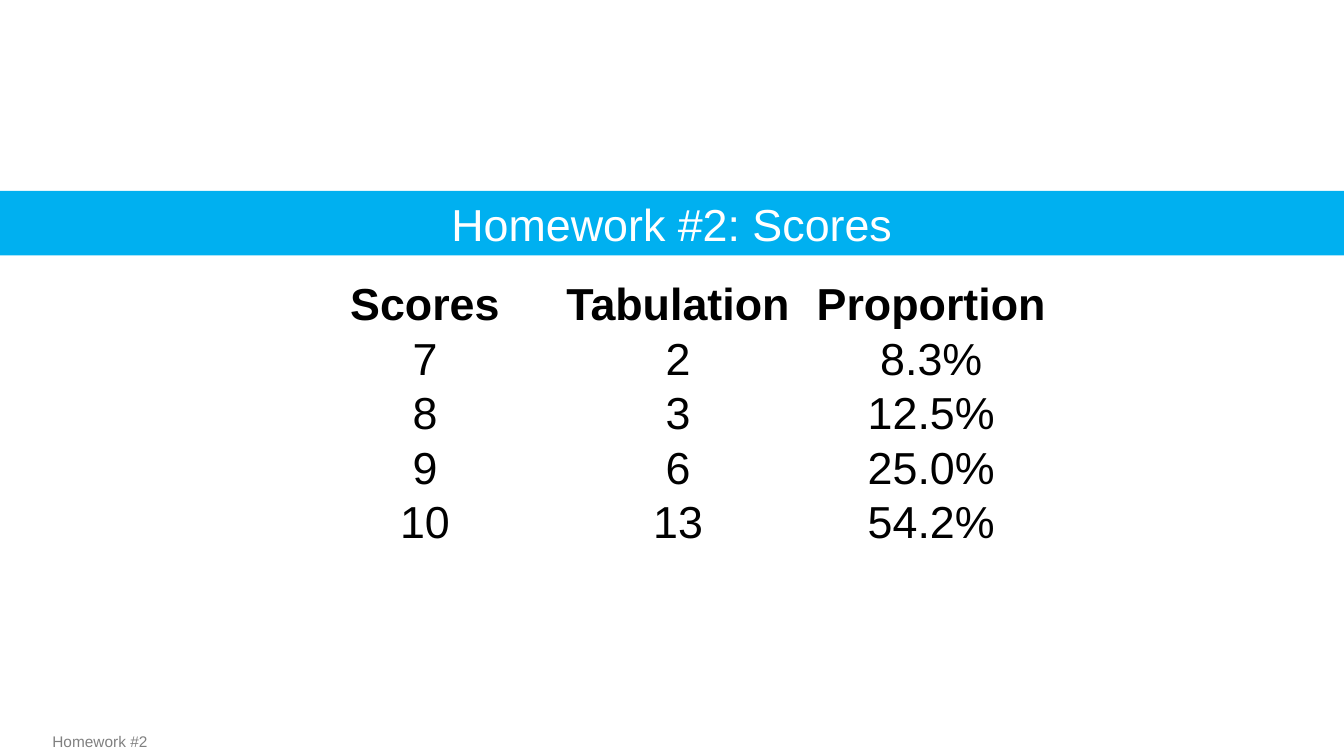
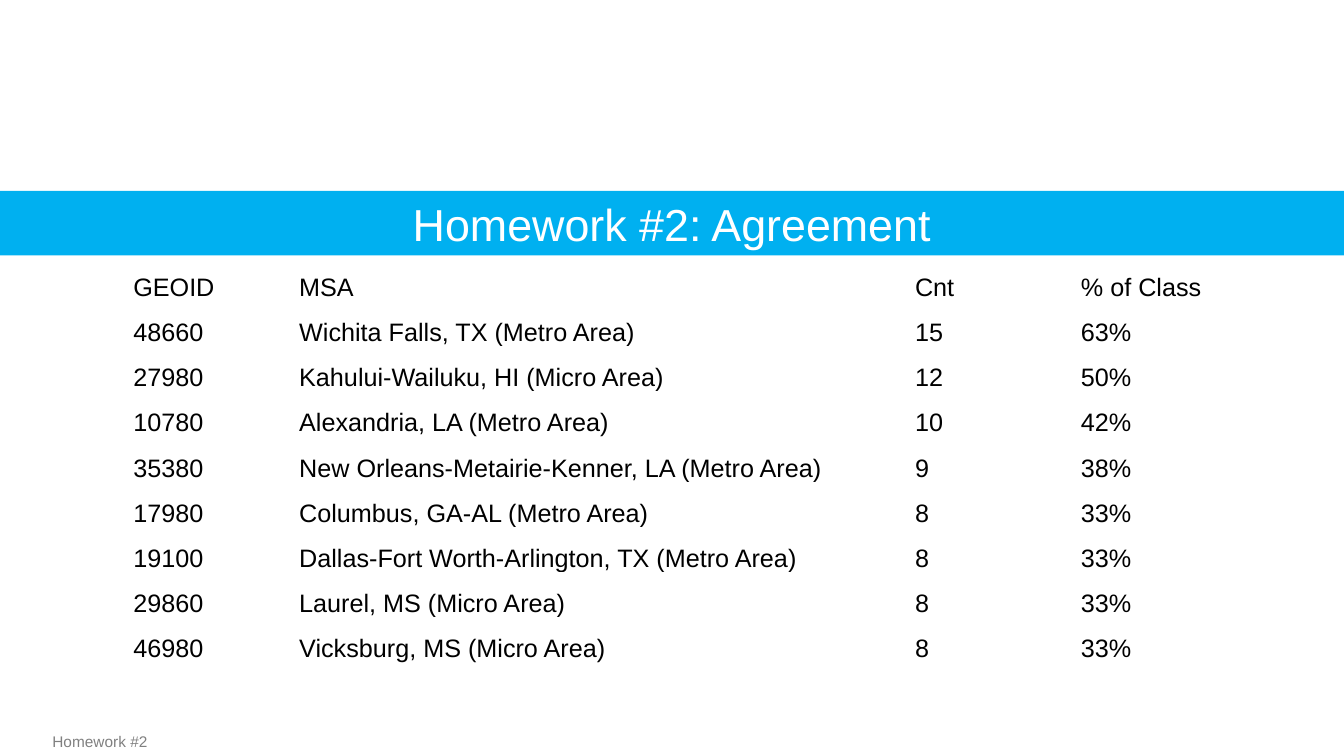
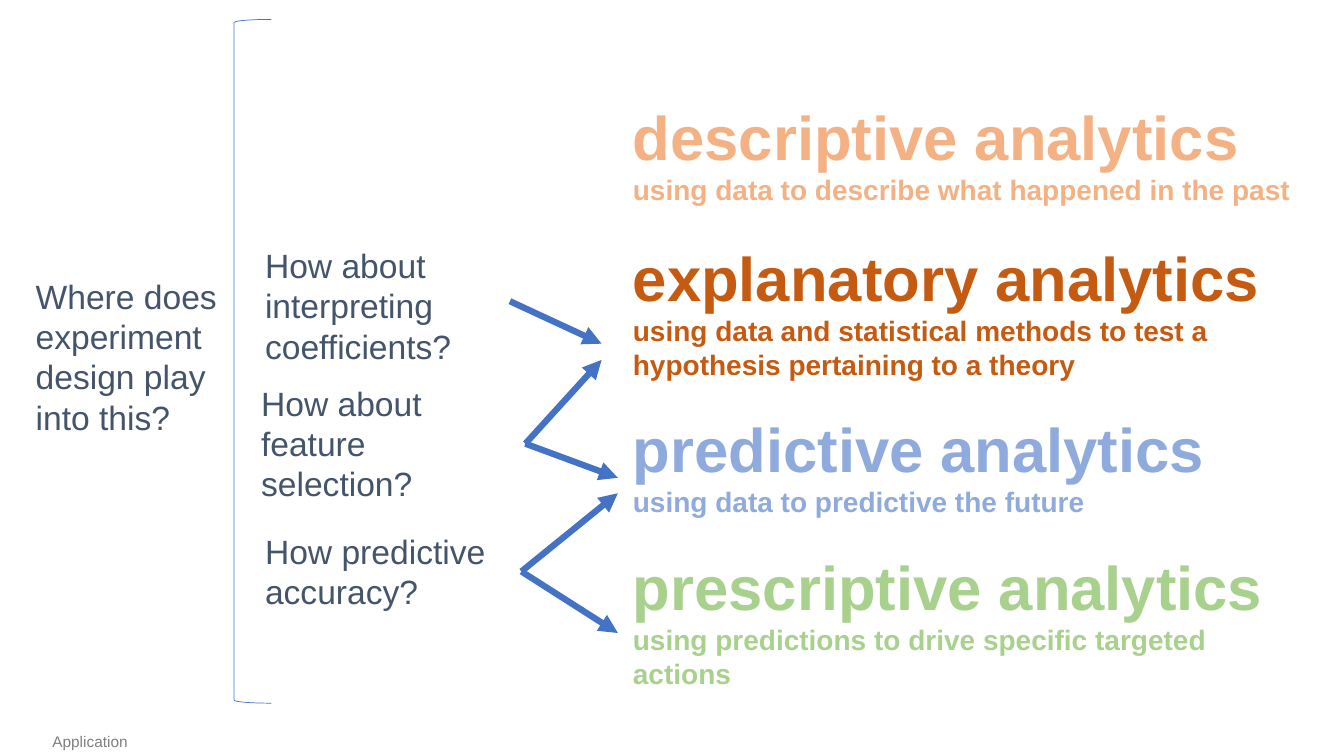
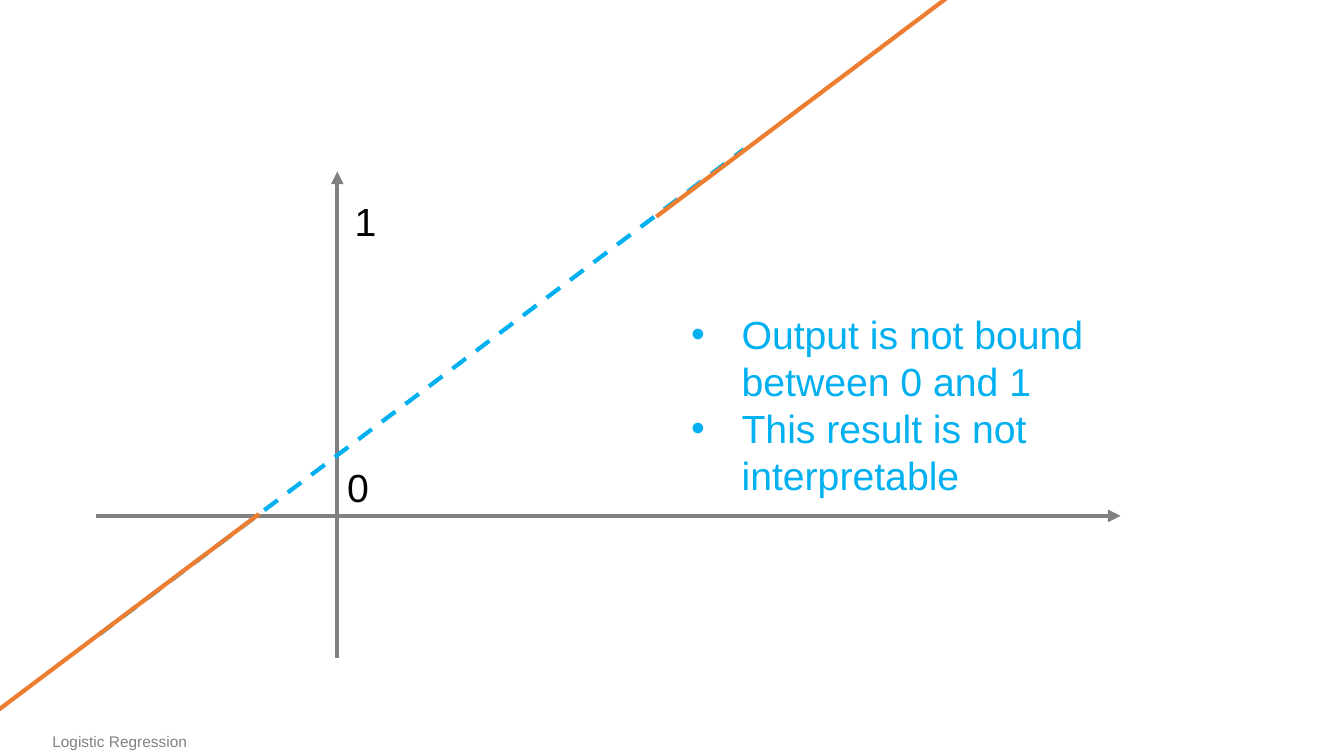
from pptx import Presentation
from pptx.dml.color import RGBColor
from pptx.enum.dml import MSO_LINE
from pptx.enum.shapes import MSO_CONNECTOR, MSO_SHAPE
from pptx.enum.text import MSO_ANCHOR, PP_ALIGN
from pptx.oxml.ns import qn
from pptx.util import Cm, Pt
from lxml import etree

CENTER, LEFT = PP_ALIGN.CENTER, PP_ALIGN.LEFT
TOP, MIDDLE, BOTTOM = MSO_ANCHOR.TOP, MSO_ANCHOR.MIDDLE, MSO_ANCHOR.BOTTOM
STRAIGHT, DASH = MSO_CONNECTOR.STRAIGHT, MSO_LINE.DASH
RECTANGLE, BRACKET = MSO_SHAPE.RECTANGLE, MSO_SHAPE.LEFT_BRACKET

FONT = "Arial"
COLORS = {
    "white": "FFFFFF", "black": "000000", "gray": "808080", "slate": "44546A",
    "sky": "00B0F0", "blue": "4472C4", "orange": "ED7D31", "peach": "F4B183",
    "rust": "C55A11", "periwinkle": "8FAADC", "green": "A9D18E",
}
SLIDE_WIDTH, SLIDE_HEIGHT = 33.87, 19.05

# Lengths below are centimetres, text sizes are points.
SCORES = [
    ("Scores", "Tabulation", "Proportion"),
    ("7", "2", "8.3%"),
    ("8", "3", "12.5%"),
    ("9", "6", "25.0%"),
    ("10", "13", "54.2%"),
]
AGREEMENT = [
    ("GEOID", "MSA", "Cnt", "% of Class"),
    ("48660", "Wichita Falls, TX (Metro Area)", "15", "63%"),
    ("27980", "Kahului-Wailuku, HI (Micro Area)", "12", "50%"),
    ("10780", "Alexandria, LA (Metro Area)", "10", "42%"),
    ("35380", "New Orleans-Metairie-Kenner, LA (Metro Area)", "9", "38%"),
    ("17980", "Columbus, GA-AL (Metro Area)", "8", "33%"),
    ("19100", "Dallas-Fort Worth-Arlington, TX (Metro Area)", "8", "33%"),
    ("29860", "Laurel, MS (Micro Area)", "8", "33%"),
    ("46980", "Vicksburg, MS (Micro Area)", "8", "33%"),
]
# Heading, explanation, colour, space before the heading
ANALYTICS = [
    ("descriptive analytics", "using data to describe what happened in the past", "peach", 0),
    ("explanatory analytics",
     "using data and statistical methods to test a hypothesis pertaining to a theory", "rust", 24),
    ("predictive analytics", "using data to predictive the future", "periwinkle", 21.5),
    ("prescriptive analytics", "using predictions to drive specific targeted actions", "green", 21.5),
]
QUESTIONS = [
    ("How about interpreting coefficients?", (6.43, 6.05, 5.89, 3.33)),
    ("Where does experiment design play into this?", (0.65, 6.82, 5.44, 4.37)),
    ("How about feature selection?", (6.33, 9.52, 6.91, 3.33)),
    ("How predictive accuracy?", (6.43, 13.25, 6.71, 2.31)),
]
# Start of the arrows of one question, then their ends
QUESTION_ARROWS = [
    ((12.85, 7.59), [(15.16, 8.66)]),
    ((13.24, 11.18), [(15.16, 9.07), (15.57, 12.04)]),
    ((13.14, 14.4), [(15.57, 12.43), (15.57, 15.95)]),
]
AXES = [((8.5, 16.57), (8.5, 4.32)), ((2.41, 13), (28.24, 13))]
AXIS_LABELS = [("1", (8.69, 4.86, 2.84, 1.45)), ("0", (8.5, 11.56, 2.84, 1.45))]
FITTED_LINE = ((2.51, 15.98), (18.75, 3.76))
OUT_OF_BOUNDS = [((-9.7, 25.15), (6.53, 12.95)), ((16.54, 5.46), (32.77, -6.76))]
REMARKS = ["Output is not bound between 0 and 1", "This result is not interpretable"]


def rgb(color):
    return RGBColor.from_string(COLORS[color])


def style(paragraph, size, color, bold=False, align=LEFT):
    paragraph.alignment = align
    for span in paragraph.runs:
        span.font.name, span.font.size = FONT, Pt(size)
        span.font.bold = bold
        span.font.color.rgb = rgb(color)


def add_text(page, place, lines, size, color):
    box = page.shapes.add_textbox(*map(Cm, place))
    frame = box.text_frame
    frame.word_wrap = True
    frame.vertical_anchor = TOP
    frame.text = "\n".join(lines)
    for para in frame.paragraphs:
        style(para, size, color)
    return frame


def add_line(page, start, end, color, width, arrow=False, dash=None):
    line = page.shapes.add_connector(STRAIGHT, *map(Cm, start + end))
    line.line.color.rgb = rgb(color)
    line.line.width = Pt(width)
    if dash:
        line.line.dash_style = dash
    properties = line._element.spPr
    if arrow:
        etree.SubElement(properties.find(qn("a:ln")), qn("a:tailEnd"), type="triangle")
    etree.SubElement(properties, qn("a:effectLst"))


def add_page(deck, footer):
    page = deck.slides.add_slide(deck.slide_layouts[6])
    add_text(page, (1.07, 18.32, 5.77, 0.74), [footer], 11, "gray")
    return page


def add_band(page, title):
    band = page.shapes.add_shape(RECTANGLE, 0, Cm(4.81), Cm(SLIDE_WIDTH), Cm(1.63))
    band.shadow.inherit = False
    band.fill.solid()
    band.fill.fore_color.rgb = rgb("sky")
    band.line.fill.background()
    band.text_frame.text = title
    band.text_frame.vertical_anchor = MIDDLE
    style(band.text_frame.paragraphs[0], 32, "white", align=CENTER)


def add_borders(cell):
    """Put a white one-point line on all four sides, ahead of the cell's fill."""
    properties = cell._tc.get_or_add_tcPr()
    for position, side in enumerate(("lnL", "lnR", "lnT", "lnB")):
        border = etree.Element(qn("a:" + side), w=str(Pt(1)))
        fill = etree.SubElement(border, qn("a:solidFill"))
        etree.SubElement(fill, qn("a:srgbClr"), val=COLORS["white"])
        properties.insert(position, border)


def add_grid(page, rows, left, top, widths, row_height, size, align, bold_header=False):
    table = page.shapes.add_table(
        len(rows), len(widths), Cm(left), Cm(top),
        Cm(sum(widths)), Cm(row_height * len(rows))).table
    table.first_row = table.horz_banding = False
    for column, width in zip(table.columns, widths):
        column.width = Cm(width)
    for row_number, values in enumerate(rows):
        table.rows[row_number].height = Cm(row_height)
        for column_number, value in enumerate(values):
            cell = table.cell(row_number, column_number)
            cell.text = value
            cell.vertical_anchor = BOTTOM
            cell.margin_left = cell.margin_right = cell.margin_top = Cm(0.02)
            cell.margin_bottom = 0
            cell.fill.solid()
            cell.fill.fore_color.rgb = rgb("white")
            add_borders(cell)
            style(cell.text_frame.paragraphs[0], size, "black",
                  bold_header and row_number == 0, align)


def add_bullet(paragraph):
    properties = paragraph._p.get_or_add_pPr()
    properties.set("marL", str(Cm(1.27)))
    properties.set("indent", str(Cm(-1.27)))
    etree.SubElement(properties, qn("a:buFont"), typeface=FONT)
    etree.SubElement(properties, qn("a:buChar"), char="•")


def build_scores(deck):
    page = add_page(deck, "Homework #2")
    add_band(page, "Homework #2: Scores")
    add_grid(page, SCORES, 7.52, 6.94, [6.38] * 3, 1.36, 32, CENTER, bold_header=True)


def build_agreement(deck):
    page = add_page(deck, "Homework #2")
    add_band(page, "Homework #2: Agreement")
    add_grid(page, AGREEMENT, 3.34, 6.46, [4.18, 15.52, 4.18, 4.18], 1.14, 18, LEFT)


def build_application(deck):
    page = add_page(deck, "Application")
    lines = [line for kind in ANALYTICS for line in kind[:2]]
    paragraphs = add_text(page, (15.7, 2.36, 17.15, 16.33), lines, 20, "slate").paragraphs
    for number, (_, _, color, gap) in enumerate(ANALYTICS):
        heading, explanation = paragraphs[2 * number:2 * number + 2]
        style(heading, 44, color, bold=True)
        style(explanation, 20, color, bold=True)
        if gap:
            heading.space_before = Pt(gap)
    for question, place in QUESTIONS:
        add_text(page, place, [question], 24, "slate")
    for start, ends in QUESTION_ARROWS:
        for end in ends:
            add_line(page, start, end, "blue", 4.5, arrow=True)
    bracket = page.shapes.add_shape(BRACKET, *map(Cm, (5.9, 0.49, 0.94, 17.23)))
    bracket.shadow.inherit = False
    bracket.fill.background()
    bracket.line.color.rgb = rgb("blue")
    bracket.line.width = Pt(0.5)


def build_regression(deck):
    page = add_page(deck, "Logistic Regression")
    for start, end in AXES:
        add_line(page, start, end, "gray", 3, arrow=True)
    for label, place in AXIS_LABELS:
        add_text(page, place, [label], 28, "black")
    add_line(page, *FITTED_LINE, "sky", 3, dash=DASH)
    remarks = add_text(page, (17.17, 7.7, 13.41, 6.25), REMARKS, 28, "sky")
    for para in remarks.paragraphs:
        add_bullet(para)
    for start, end in OUT_OF_BOUNDS:
        add_line(page, start, end, "orange", 3)


def main():
    deck = Presentation()
    deck.slide_width, deck.slide_height = Cm(SLIDE_WIDTH), Cm(SLIDE_HEIGHT)
    for build in (build_scores, build_agreement, build_application, build_regression):
        build(deck)
    deck.save("out.pptx")


if __name__ == "__main__":
    main()
